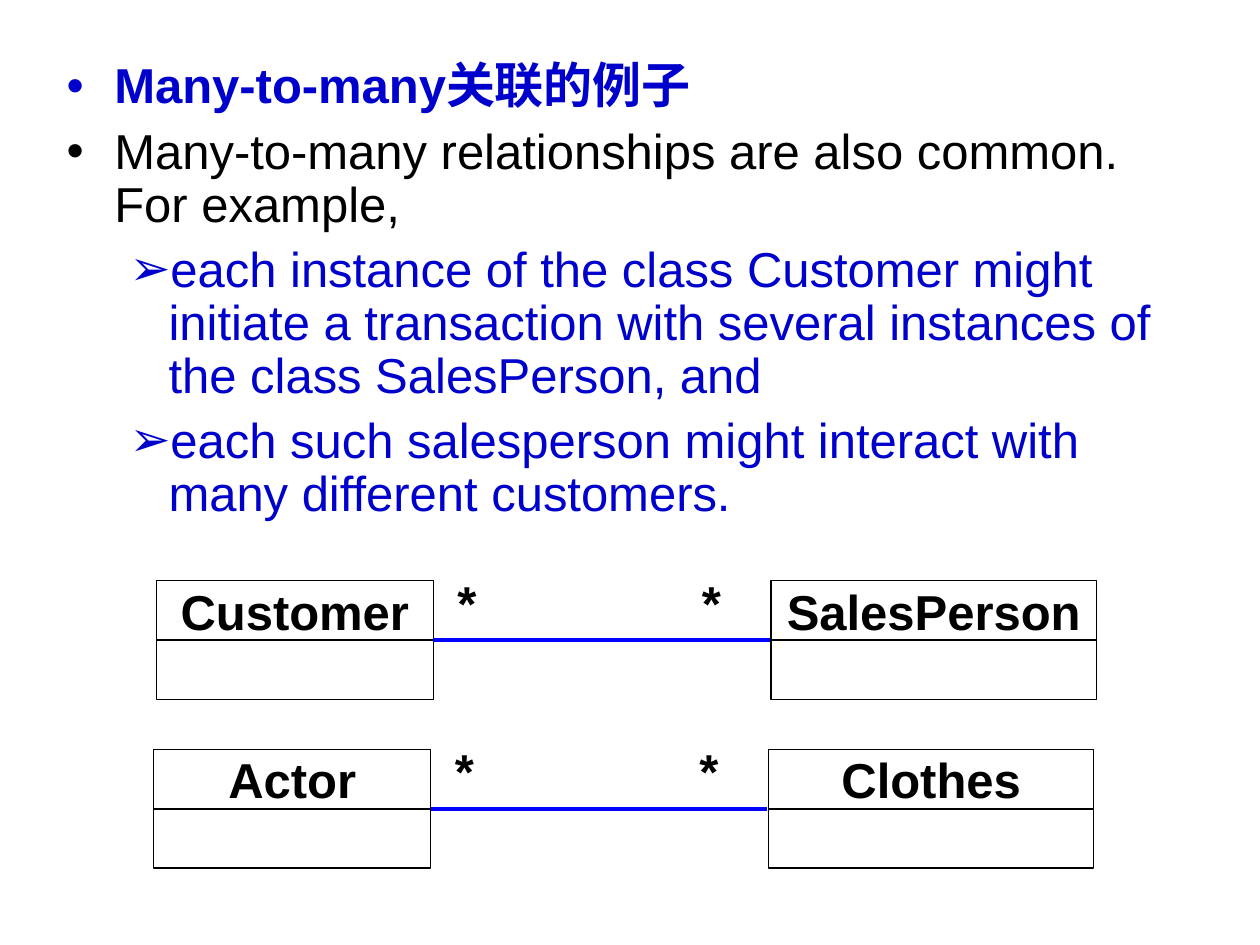
from lxml import etree
from pptx import Presentation
from pptx import util as u
from pptx.dml.color import RGBColor
from pptx.enum import shapes, text
from pptx.oxml.ns import qn

BLACK = RGBColor(0, 0, 0)
WHITE = RGBColor(255, 255, 255)
NAVY = RGBColor(0, 0, 0xCC)
BLUE = RGBColor(0, 0, 255)


def write(para, words, font="Arial", size=28, color=BLACK, bold=False, align=None):
    para.alignment = align
    run = para.add_run()
    run.text = words
    run.font.name = font
    run.font.size = u.Pt(size)
    run.font.color.rgb = color
    run.font.bold = bold


def mark(para, sign, color, left, hang):
    props = para._p.get_or_add_pPr()
    props.set("marL", str(u.Inches(left)))
    props.set("indent", str(-u.Inches(hang)))
    tint = etree.SubElement(props, qn("a:buClr"))
    etree.SubElement(tint, qn("a:srgbClr"), val=str(color))
    etree.SubElement(props, qn("a:buFont"), typeface="Arial")
    etree.SubElement(props, qn("a:buChar"), char=sign)


class Sketch:
    font = "Arial"
    size = 28
    edge = 0.75
    link = 2.5
    high = 0.47

    def __init__(self, slide):
        self.slide = slide
        self.group = None

    def list(self, items, left, top, wide, high):
        box = self.slide.shapes.add_textbox(*map(u.Inches, (left, top, wide, high)))
        frame = box.text_frame
        frame.word_wrap = True
        for place, (words, sign, level, color, bold) in enumerate(items):
            para = frame.add_paragraph() if place else frame.paragraphs[0]
            mark(para, sign, color, *((0.81, 0.31) if level else (0.38, 0.38)))
            para.level = level
            para.line_spacing = 0.9
            if place:
                para.space_before = u.Pt(7)
            write(para, words, self.font, self.size, color, bold)

    def rect(self, left, top, wide, line=True):
        box = self.group.shapes.add_shape(
            shapes.MSO_SHAPE.RECTANGLE, *map(u.Inches, (left, top, wide, self.high)))
        box.shadow.inherit = False
        box.fill.solid()
        box.fill.fore_color.rgb = WHITE
        if line:
            box.line.color.rgb = BLACK
            box.line.width = u.Pt(self.edge)
        else:
            box.line.fill.background()
        return box

    def entity(self, name, left, top, wide):
        frame = self.rect(left, top, wide).text_frame
        frame.word_wrap = False
        frame.vertical_anchor = text.MSO_ANCHOR.MIDDLE
        write(frame.paragraphs[0], name, self.font, self.size,
              bold=True, align=text.PP_ALIGN.CENTER)
        self.rect(left, top + self.high, wide)

    def star(self, left, top, wide):
        frame = self.rect(left, top, wide, line=False).text_frame
        frame.margin_left = frame.margin_right = 0
        frame.margin_top = frame.margin_bottom = 0
        frame.word_wrap = True
        frame.auto_size = text.MSO_AUTO_SIZE.SHAPE_TO_FIT_TEXT
        frame.vertical_anchor = text.MSO_ANCHOR.TOP
        write(frame.paragraphs[0], "*", self.font, self.size,
              bold=True, align=text.PP_ALIGN.LEFT)

    def join(self, start, end, level):
        line = self.group.shapes.add_connector(
            shapes.MSO_CONNECTOR.STRAIGHT, *map(u.Inches, (start, level, end, level)))
        line.line.color.rgb = BLUE
        line.line.width = u.Pt(self.link)
        etree.SubElement(line._element.spPr, qn("a:effectLst"))

    def pair(self, first, second, left, top):
        self.group = self.slide.shapes.add_group_shape()
        self.entity(second, left + 4.88, top, 2.58)
        self.entity(first, left, top, 2.2)
        self.join(left + 2.2, left + 4.87, top + self.high)
        self.star(left + 2.39, top - 0.07, 0.47)
        self.star(left + 4.33, top - 0.07, 0.3)


def main():
    deck = Presentation()
    deck.slide_width = u.Inches(10)
    deck.slide_height = u.Inches(7.5)
    sketch = Sketch(deck.slides.add_slide(deck.slide_layouts[6]))
    sketch.list([
        ("Many-to-many关联的例子", "•", 0, NAVY, True),
        ("Many-to-many relationships are also common. For example,",
         "•", 0, BLACK, False),
        ("each instance of the class Customer might initiate a transaction "
         "with several instances of the class SalesPerson, and",
         "➢", 1, NAVY, False),
        ("each such salesperson might interact with many different customers.",
         "➢", 1, NAVY, False),
    ], 0.43, 0.44, 9, 3.94)
    sketch.pair("Customer", "SalesPerson", 1.24, 4.61)
    sketch.pair("Actor", "Clothes", 1.22, 5.95)
    deck.save("out.pptx")


if __name__ == "__main__":
    main()
